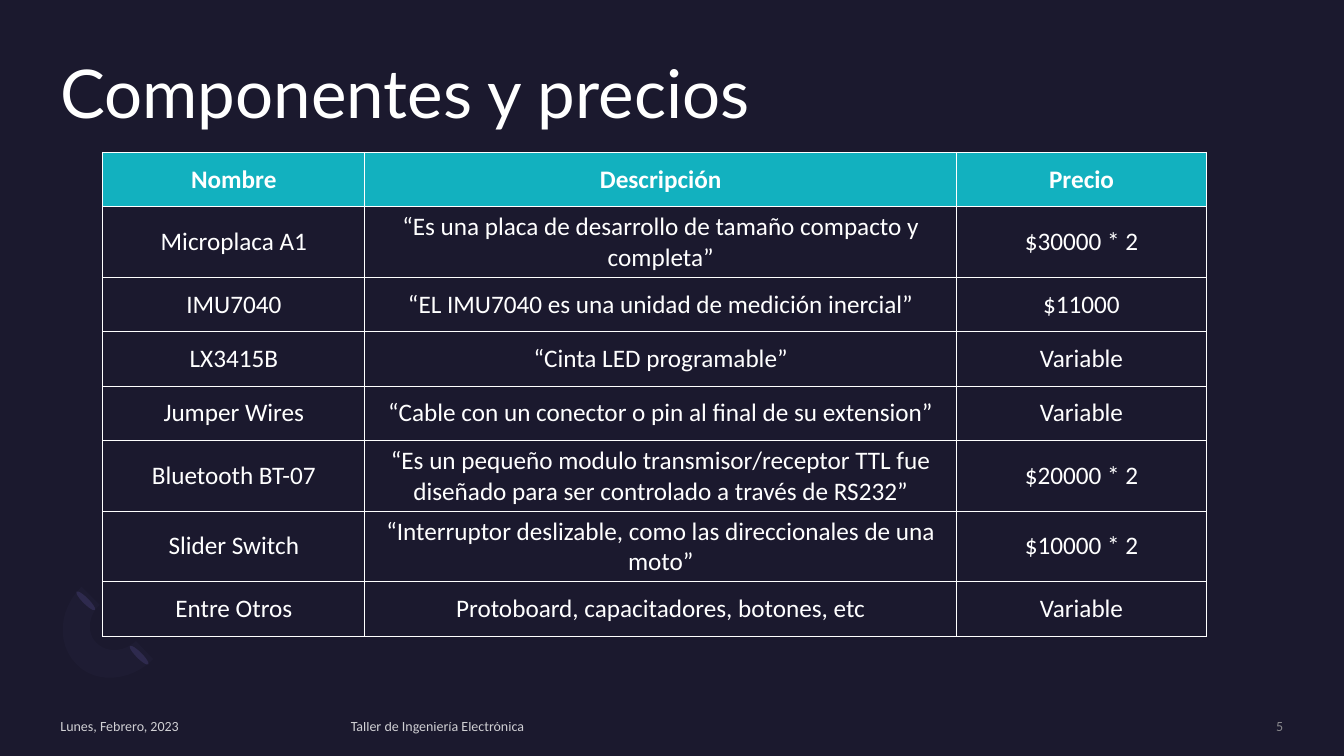
from dataclasses import dataclass

from lxml.etree import SubElement
from pptx import Presentation
from pptx.dml.color import RGBColor
from pptx.enum.shapes import MSO_SHAPE
from pptx.enum.text import MSO_ANCHOR, PP_ALIGN
from pptx.oxml.ns import qn
from pptx.shapes.autoshape import Shape
from pptx.slide import Slide
from pptx.table import _Cell
from pptx.text.text import _Paragraph
from pptx.util import Pt

COLORS = {
    "background": "1B192E",
    "petal": "2C284A",
    "arc": "7771B2",
    "header": "12B1BF",
    "white": "FFFFFF",
    "gray": "A6A6A6",
}

Point = tuple[float, float]


@dataclass(frozen=True)
class Label:
    text: str
    left: float
    top: float
    width: float
    height: float
    size: float
    font: str = "Calibri"
    color: str = "white"
    opacity: int = 100
    align: PP_ALIGN = PP_ALIGN.LEFT
    anchor: MSO_ANCHOR = MSO_ANCHOR.MIDDLE
    line_spacing: float = 1.0


@dataclass(frozen=True)
class Component:
    name: str
    description: str
    price: str


@dataclass(frozen=True)
class Petal:
    left: float
    top: float


LABELS = [
    Label("Componentes y precios", 43.2, 43.2, 873.36, 105.12, 48, font="Lato",
          anchor=MSO_ANCHOR.TOP, line_spacing=0.9),
    Label("Lunes, Febrero, 2023", 43.2, 512.64, 207.36, 12.24, 10, opacity=80),
    Label("Taller de Ingeniería Electrónica", 250.56, 512.64, 502.56, 12.24, 10, opacity=80),
    Label("5", 783.36, 512.64, 133.2, 12.24, 10, color="gray", opacity=80,
          align=PP_ALIGN.RIGHT),
]

HEADER = Component("Nombre", "Descripción", "Precio")
COMPONENTS = [
    Component("Microplaca A1", "“Es una placa de desarrollo de tamaño compacto y completa”", "$30000 * 2"),
    Component("IMU7040", "“EL IMU7040 es una unidad de medición inercial”", "$11000"),
    Component("LX3415B", "“Cinta LED programable”", "Variable"),
    Component("Jumper Wires", "“Cable con un conector o pin al final de su extension”", "Variable"),
    Component("Bluetooth BT-07", "“Es un pequeño modulo transmisor/receptor TTL fue diseñado "
              "para ser controlado a través de RS232”", "$20000 * 2"),
    Component("Slider Switch", "“Interruptor deslizable, como las direccionales de una moto”", "$10000 * 2"),
    Component("Entre Otros", "Protoboard, capacitadores, botones, etc", "Variable"),
]
COLUMN_WIDTHS = [187.2, 422.64, 178.56]
ROW_HEIGHT = 38.88

PETALS = [Petal(97.2, 458.64), Petal(59.04, 419.76)]

OUTER_START = [(54.72, 474.48), (40.32, 460.08), (41.76, 435.6), (58.32, 419.04)]
INNER_START = [(71.28, 432), (62.64, 439.92), (61.92, 452.88), (69.12, 459.36)]
INNER_END = [(69.12, 459.36), (76.32, 466.56), (88.56, 465.84), (97.2, 457.92)]
OUTER_END = [(109.44, 470.88), (93.6, 486.72), (68.4, 488.88), (54.72, 474.48)]


def rgb(name: str) -> RGBColor:
    return RGBColor.from_string(COLORS[name])


def set_opacity(element, percent: int) -> None:
    if percent < 100:
        color = element.find(".//" + qn("a:srgbClr"))
        SubElement(color, qn("a:alpha"), val=str(percent * 1000))


def style_text(paragraph: _Paragraph, font: str, size: float, color: str,
               align: PP_ALIGN, bold: bool = False) -> None:
    paragraph.alignment = align
    paragraph.font.name = font
    paragraph.font.size = Pt(size)
    paragraph.font.bold = bold
    paragraph.font.color.rgb = rgb(color)


def style_decoration(shape: Shape, color: str) -> None:
    shape.shadow.inherit = False
    shape.fill.solid()
    shape.fill.fore_color.rgb = rgb(color)
    shape.line.fill.background()


def sample_curve(control: list[Point], steps: int = 12) -> list[Point]:
    a, b, c, d = control
    return [
        tuple(
            (1 - t) ** 3 * a[i] + 3 * (1 - t) ** 2 * t * b[i]
            + 3 * (1 - t) * t ** 2 * c[i] + t ** 3 * d[i]
            for i in range(2)
        )
        for t in (step / steps for step in range(steps + 1))
    ]


def draw_petal(slide: Slide, petal: Petal) -> None:
    ellipse = slide.shapes.add_shape(
        MSO_SHAPE.OVAL, Pt(petal.left), Pt(petal.top), Pt(4.32), Pt(18.72))
    ellipse.rotation = 135
    style_decoration(ellipse, "petal")


def draw_arc(slide: Slide) -> None:
    curves = [OUTER_START, INNER_START, INNER_END, OUTER_END]
    outline = [(Pt(x), Pt(y)) for curve in curves for x, y in sample_curve(curve)]
    builder = slide.shapes.build_freeform(*outline[0])
    builder.add_line_segments(outline[1:], close=True)
    arc = builder.convert_to_shape()
    style_decoration(arc, "arc")
    set_opacity(arc._element.spPr, 4)


def draw_label(slide: Slide, label: Label) -> None:
    frame = slide.shapes.add_textbox(
        Pt(label.left), Pt(label.top), Pt(label.width), Pt(label.height)).text_frame
    frame.word_wrap = True
    frame.vertical_anchor = label.anchor
    frame.margin_left = frame.margin_right = frame.margin_top = frame.margin_bottom = 0
    paragraph = frame.paragraphs[0]
    paragraph.text = label.text
    paragraph.line_spacing = label.line_spacing
    style_text(paragraph, label.font, label.size, label.color, label.align)
    set_opacity(paragraph._p, label.opacity)


def draw_borders(cell: _Cell) -> None:
    properties = cell._tc.get_or_add_tcPr()
    for position, side in enumerate(("lnL", "lnR", "lnT", "lnB")):
        border = SubElement(properties, qn(f"a:{side}"), w=str(Pt(0.75)))
        fill = SubElement(border, qn("a:solidFill"))
        SubElement(fill, qn("a:srgbClr"), val=COLORS["white"])
        properties.insert(position, border)


def draw_components(slide: Slide) -> None:
    rows = [HEADER, *COMPONENTS]
    table = slide.shapes.add_table(
        len(rows), len(COLUMN_WIDTHS), Pt(73.44), Pt(108.72),
        Pt(sum(COLUMN_WIDTHS)), Pt(ROW_HEIGHT * len(rows))).table
    table.first_row = table.horz_banding = False
    for column, width in zip(table.columns, COLUMN_WIDTHS):
        column.width = Pt(width)
    for row, component in zip(table.rows, rows):
        row.height = Pt(ROW_HEIGHT)
        is_header = component is HEADER
        texts = (component.name, component.description, component.price)
        for cell, text in zip(row.cells, texts):
            cell.text = text
            cell.vertical_anchor = MSO_ANCHOR.MIDDLE
            style_text(cell.text_frame.paragraphs[0], "Calibri", 18, "white",
                       PP_ALIGN.CENTER, is_header)
            if is_header:
                cell.fill.solid()
                cell.fill.fore_color.rgb = rgb("header")
            else:
                cell.fill.background()
            draw_borders(cell)


def main() -> None:
    deck = Presentation()
    deck.slide_width, deck.slide_height = Pt(960), Pt(540)
    slide = deck.slides.add_slide(deck.slide_layouts[6])
    slide.background.fill.solid()
    slide.background.fill.fore_color.rgb = rgb("background")
    for petal in PETALS:
        draw_petal(slide, petal)
    draw_arc(slide)
    for label in LABELS:
        draw_label(slide, label)
    draw_components(slide)
    deck.save("out.pptx")


if __name__ == "__main__":
    main()
